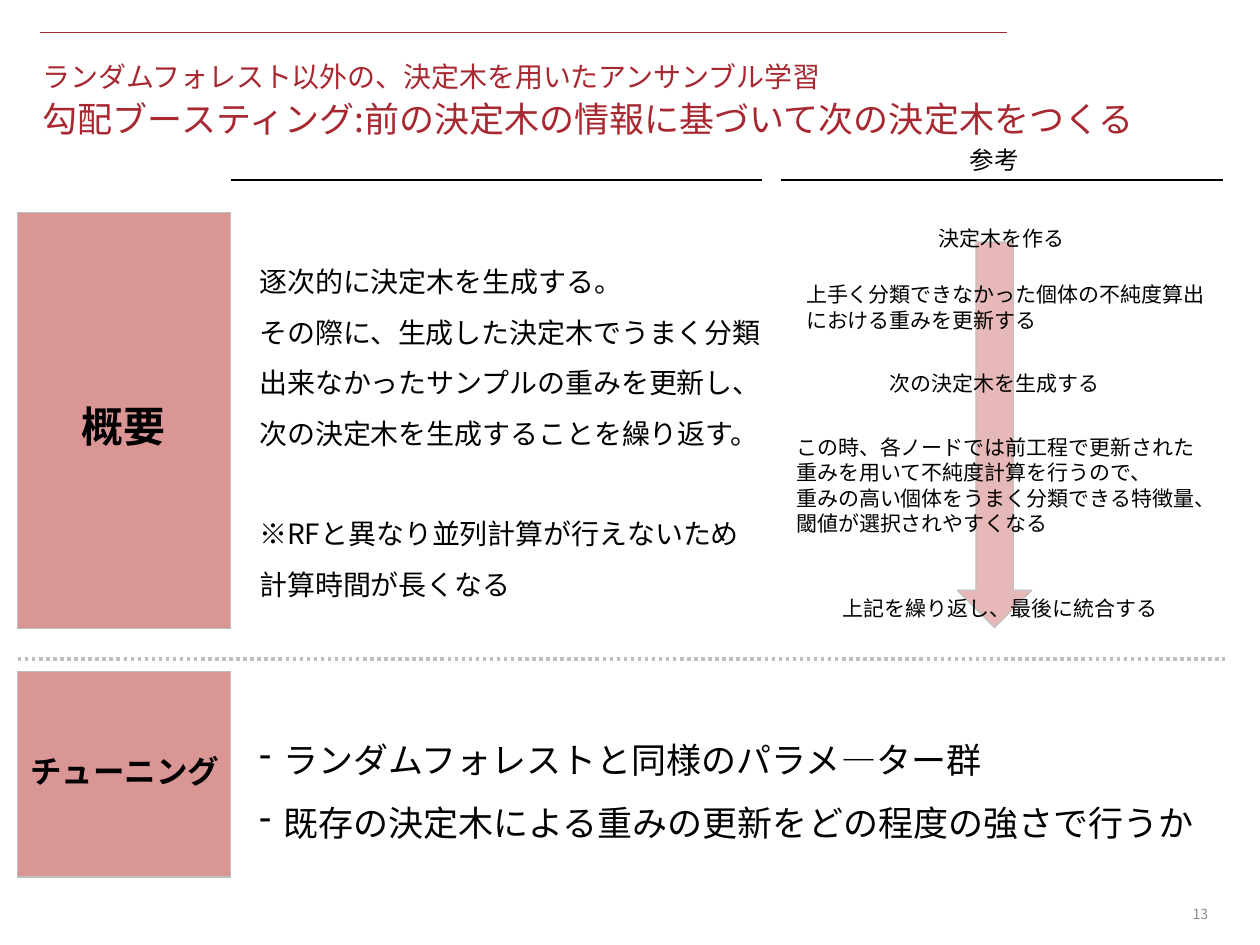
from lxml.etree import SubElement
from pptx import Presentation
from pptx.dml.color import RGBColor
from pptx.enum.dml import MSO_LINE_DASH_STYLE as Dash
from pptx.enum.shapes import MSO_CONNECTOR_TYPE as Connector, MSO_SHAPE as Shape
from pptx.enum.text import MSO_ANCHOR as Anchor, MSO_AUTO_SIZE as AutoSize, PP_ALIGN as Align
from pptx.oxml.ns import qn
from pptx.util import Cm, Pt

FONT = "Noto Sans CJK JP"
RED = RGBColor(0xA8, 0x28, 0x31)
ROSE = RGBColor(0xD9, 0x96, 0x94)
PALE_ROSE = RGBColor(0xE6, 0xB9, 0xB8)
SILVER = RGBColor(0xBF, 0xBF, 0xBF)
GRAY = RGBColor(0x8C, 0x8C, 0x8C)
BLACK = RGBColor(0, 0, 0)

LABEL_LEFT, LABEL_WIDTH = 0.36, 4.29
COLUMN_LEFT = LABEL_LEFT + LABEL_WIDTH
BODY_LEFT = 4.98
HEADER_RULE_TOP = 3.63

OVERVIEW = [
    "逐次的に決定木を生成する。",
    "その際に、生成した決定木でうまく分類",
    "出来なかったサンプルの重みを更新し、",
    "次の決定木を生成することを繰り返す。",
]
OVERVIEW_NOTE = ["※RFと異なり並列計算が行えないため", "計算時間が長くなる"]
TUNING = [
    "ランダムフォレストと同様のパラメ―ター群",
    "既存の決定木による重みの更新をどの程度の強さで行うか",
]
STEPS = [
    ((18.67, 4.42, 3.07, 0.76), ["決定木を作る"]),
    ((16, 5.56, 8.64, 1.27),
     ["上手く分類できなかった個体の不純度算出", "における重みを更新する"]),
    ((17.68, 7.34, 4.78, 0.76), ["次の決定木を生成する"]),
    ((15.8, 8.64, 9.07, 2.31),
     ["この時、各ノードでは前工程で更新された",
      "重みを用いて不純度計算を行うので、",
      "重みの高い個体をうまく分類できる特徴量、",
      "閾値が選択されやすくなる"]),
    ((16.74, 11.89, 6.93, 0.76), ["上記を繰り返し、最後に統合する"]),
]


def add_run(paragraph, text, size, color=BLACK, bold=False):
    """Append a run in the slide's font, for Latin and East Asian text."""
    run = paragraph.add_run()
    run.text = text
    run.font.name = FONT
    run.font.size = Pt(size)
    run.font.bold = bold
    run.font.color.rgb = color
    SubElement(run.font._element, qn("a:ea"), typeface=FONT)


def set_bullet(paragraph, character, indent):
    """Give a paragraph a bullet with a hanging indent in centimetres."""
    properties = paragraph._p.get_or_add_pPr()
    properties.set("marL", str(Cm(indent)))
    properties.set("indent", str(-Cm(indent)))
    SubElement(properties, qn("a:buChar"), char=character)


def add_text(slide, box, lines, size, color=BLACK, bold=False, align=Align.LEFT,
             spacing=1.0, bullet=None, gaps=None, wrap=False, anchor=Anchor.TOP):
    """Add a text box; gaps maps a line number to points before it."""
    shape = slide.shapes.add_textbox(*map(Cm, box))
    frame = shape.text_frame
    frame.word_wrap = wrap
    frame.auto_size = AutoSize.NONE if wrap else AutoSize.SHAPE_TO_FIT_TEXT
    frame.vertical_anchor = anchor
    for number, line in enumerate(lines):
        paragraph = frame.add_paragraph() if number else frame.paragraphs[0]
        paragraph.alignment = align
        paragraph.line_spacing = spacing
        if gaps and number in gaps:
            paragraph.space_before = Pt(gaps[number])
        if bullet:
            set_bullet(paragraph, bullet, 0.48)
        add_run(paragraph, line, size, color, bold)
    return frame


def add_block(slide, kind, box, fill):
    """Add a filled preset shape with a thin silver outline."""
    shape = slide.shapes.add_shape(kind, *map(Cm, box))
    shape.shadow.inherit = False
    shape.fill.solid()
    shape.fill.fore_color.rgb = fill
    shape.line.color.rgb = SILVER
    shape.line.width = Pt(0.75)


def add_rule(slide, left, right, top, color=BLACK, width=1, dash=None):
    """Add a horizontal line."""
    line = slide.shapes.add_connector(
        Connector.STRAIGHT, Cm(left), Cm(top), Cm(right), Cm(top))
    line.line.color.rgb = color
    line.line.width = Pt(width)
    if dash:
        line.line.dash_style = dash
    SubElement(line._element.spPr, qn("a:effectLst"))


def add_title(slide):
    """Add the small lead line and the larger headline below it."""
    frame = add_text(slide, (0.61, 1.47, 24.03, 0.99),
                     ["ランダムフォレスト以外の、決定木を用いたアンサンブル学習"],
                     16, color=RED, spacing=1.1, wrap=True, anchor=Anchor.MIDDLE)
    paragraph = frame.paragraphs[0]
    paragraph.add_line_break()
    add_run(paragraph, "勾配ブースティング:前の決定木の情報に基づいて次の決定木をつくる", 20, RED)


def main():
    """Build the slide and save it."""
    presentation = Presentation()
    presentation.slide_width, presentation.slide_height = Cm(25.4), Cm(19.05)
    slide = presentation.slides.add_slide(presentation.slide_layouts[6])

    add_rule(slide, 0.81, 20.29, 0.66, color=RED, width=0.5)
    add_block(slide, Shape.DOWN_ARROW, (19.3, 4.88, 1.5, 7.77), PALE_ROSE)
    add_title(slide)
    add_text(slide, (18.69, 18.08, 5.92, 0.69), ["13"], 8, color=GRAY,
             align=Align.RIGHT, wrap=True, anchor=Anchor.MIDDLE)

    add_rule(slide, COLUMN_LEFT, 15.37, HEADER_RULE_TOP)
    add_rule(slide, 15.75, 24.66, HEADER_RULE_TOP)
    add_text(slide, (19.3, 2.79, 1.5, 0.86), ["参考"], 14)

    for top, height in ((4.29, 8.38), (13.54, 4.14)):
        add_block(slide, Shape.RECTANGLE, (LABEL_LEFT, top, LABEL_WIDTH, height), ROSE)
    add_rule(slide, LABEL_LEFT, 24.69, 13.28, color=SILVER, width=2,
             dash=Dash.ROUND_DOT)
    add_text(slide, (1.4, 7.95, 2.24, 1.27), ["概要"], 24, bold=True)
    add_text(slide, (0.33, 15.04, 4.37, 1.02), ["チューニング"], 18, bold=True,
             align=Align.CENTER)

    add_text(slide, (BODY_LEFT, 4.88, 11.02, 7.44), OVERVIEW + OVERVIEW_NOTE, 16,
             spacing=1.5, gaps={len(OVERVIEW): 28.8})
    add_text(slide, (BODY_LEFT, 14.33, 19.51, 2.82), TUNING, 20, spacing=1.5,
             bullet="-")
    for box, lines in STEPS:
        add_text(slide, box, lines, 12)

    presentation.save("out.pptx")


main()
